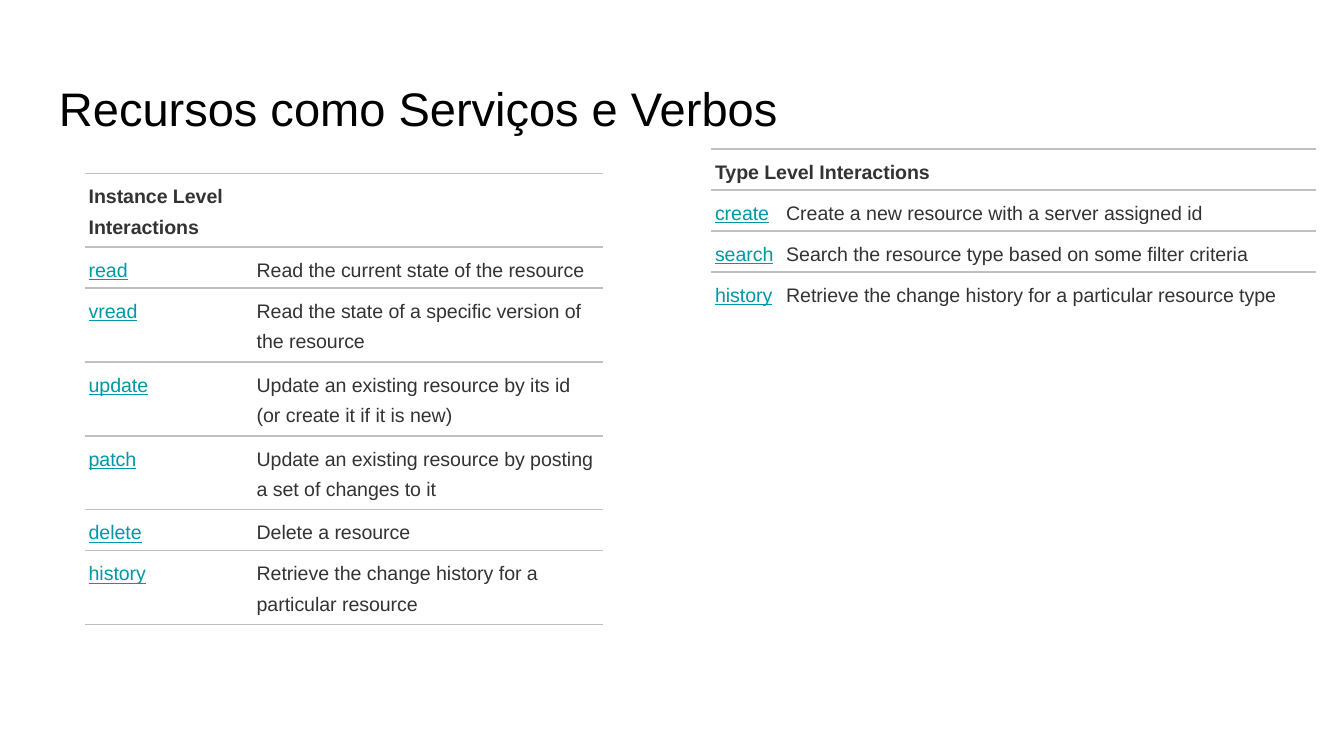
"""Build a slide listing instance level and type level interactions."""
from dataclasses import dataclass

from lxml import etree
from pptx import Presentation
from pptx.dml.color import RGBColor
from pptx.enum.text import MSO_ANCHOR
from pptx.oxml.ns import qn
from pptx.slide import Slide
from pptx.table import _Cell
from pptx.util import Inches, Pt

MIDDLE = MSO_ANCHOR.MIDDLE
SLIDE_WIDTH = 10
SLIDE_HEIGHT = SLIDE_WIDTH * 9 / 16
FRAME_SIDE = 3.28


@dataclass(frozen=True)
class Theme:
    font: str = "Arial"
    title_size: float = 25.2
    body_size: float = 10.5
    title: str = "000000"
    text: str = "333333"
    link: str = "0097A7"
    rule: str = "C0C0C0"
    paper: str = "FFFFFF"
    rule_width: float = 0.94
    cell_margin: float = 0.03


@dataclass(frozen=True)
class InteractionTable:
    heading: str
    interactions: tuple[tuple[str, str], ...]
    left: float
    top: float
    column_widths: tuple[float, float]
    row_height: float
    heading_spans: bool
    closing_rule: bool


THEME = Theme()

TABLES = (
    InteractionTable(
        "Instance Level Interactions",
        (
            ("read", "Read the current state of the resource"),
            ("vread", "Read the state of a specific version of the resource"),
            ("update", "Update an existing resource by its id (or create it if it is new)"),
            ("patch", "Update an existing resource by posting a set of changes to it"),
            ("delete", "Delete a resource"),
            ("history", "Retrieve the change history for a particular resource"),
        ),
        0.63, 1.29, (1.25, 2.61), 0.22, heading_spans=False, closing_rule=True,
    ),
    InteractionTable(
        "Type Level Interactions",
        (
            ("create", "Create a new resource with a server assigned id"),
            ("search", "Search the resource type based on some filter criteria"),
            ("history", "Retrieve the change history for a particular resource type"),
        ),
        5.29, 1.11, (0.53, 3.97), 0.25, heading_spans=True, closing_rule=False,
    ),
)


def set_borders(cell: _Cell, bottom: bool) -> None:
    """Rule the cell above, and below if asked, leaving its sides open."""
    properties = cell._tc.get_or_add_tcPr()
    sides = (("a:lnL", False), ("a:lnR", False), ("a:lnT", True), ("a:lnB", bottom))
    for position, (tag, ruled) in enumerate(sides):
        line = etree.Element(qn(tag), w=str(int(Pt(THEME.rule_width))))
        if ruled:
            fill = etree.SubElement(line, qn("a:solidFill"))
            etree.SubElement(fill, qn("a:srgbClr"), val=THEME.rule)
        else:
            etree.SubElement(line, qn("a:noFill"))
        properties.insert(position, line)


def write_cell(cell: _Cell, text: str, color: str, bold: bool, underline: bool, bottom: bool) -> None:
    """Fill, rule and write one table cell."""
    margin = Inches(THEME.cell_margin)
    cell.margin_left = cell.margin_right = cell.margin_top = cell.margin_bottom = margin
    cell.fill.solid()
    cell.fill.fore_color.rgb = RGBColor.from_string(THEME.paper)
    set_borders(cell, bottom)
    cell.text = text
    paragraph = cell.text_frame.paragraphs[0]
    paragraph.line_spacing = 1.4
    paragraph.space_after = Pt(8)
    font = paragraph.font
    font.name = THEME.font
    font.size = Pt(THEME.body_size)
    font.bold = bold
    font.underline = underline
    font.color.rgb = RGBColor.from_string(color)


def add_interactions(slide: Slide, content: InteractionTable) -> None:
    """Draw a heading row followed by one row for each interaction."""
    rows = ((content.heading, ""), *content.interactions)
    frame = slide.shapes.add_table(
        len(rows), 2, Inches(content.left), Inches(content.top),
        Inches(FRAME_SIDE), Inches(FRAME_SIDE),
    )
    table = frame.table
    table.first_row = table.horz_banding = False
    for column, width in zip(table.columns, content.column_widths):
        column.width = Inches(width)
    for row_index, row in enumerate(rows):
        table.rows[row_index].height = Inches(content.row_height)
        heading = row_index == 0
        bottom = content.closing_rule or row_index < len(rows) - 1
        for column_index, text in enumerate(row):
            link = column_index == 0 and not heading
            color = THEME.link if link else THEME.text
            write_cell(table.cell(row_index, column_index), text, color, heading, link, bottom)
    if content.heading_spans:
        table.cell(0, 0).merge(table.cell(0, 1))
    frame.width = frame.height = Inches(FRAME_SIDE)


def add_title(slide: Slide, text: str) -> None:
    """Write the slide title."""
    frame = slide.shapes.add_textbox(Inches(0.34), Inches(0.49), Inches(9.32), Inches(0.63)).text_frame
    frame.word_wrap = True
    frame.vertical_anchor = MIDDLE
    frame.margin_left = frame.margin_right = frame.margin_top = frame.margin_bottom = Inches(0.1)
    frame.text = text
    font = frame.paragraphs[0].font
    font.name = THEME.font
    font.size = Pt(THEME.title_size)
    font.color.rgb = RGBColor.from_string(THEME.title)


def main() -> None:
    """Build and save the presentation."""
    presentation = Presentation()
    presentation.slide_width = Inches(SLIDE_WIDTH)
    presentation.slide_height = Inches(SLIDE_HEIGHT)
    slide = presentation.slides.add_slide(presentation.slide_layouts[6])
    add_title(slide, "Recursos como Serviços e Verbos")
    for content in TABLES:
        add_interactions(slide, content)
    presentation.save("out.pptx")


if __name__ == "__main__":
    main()
